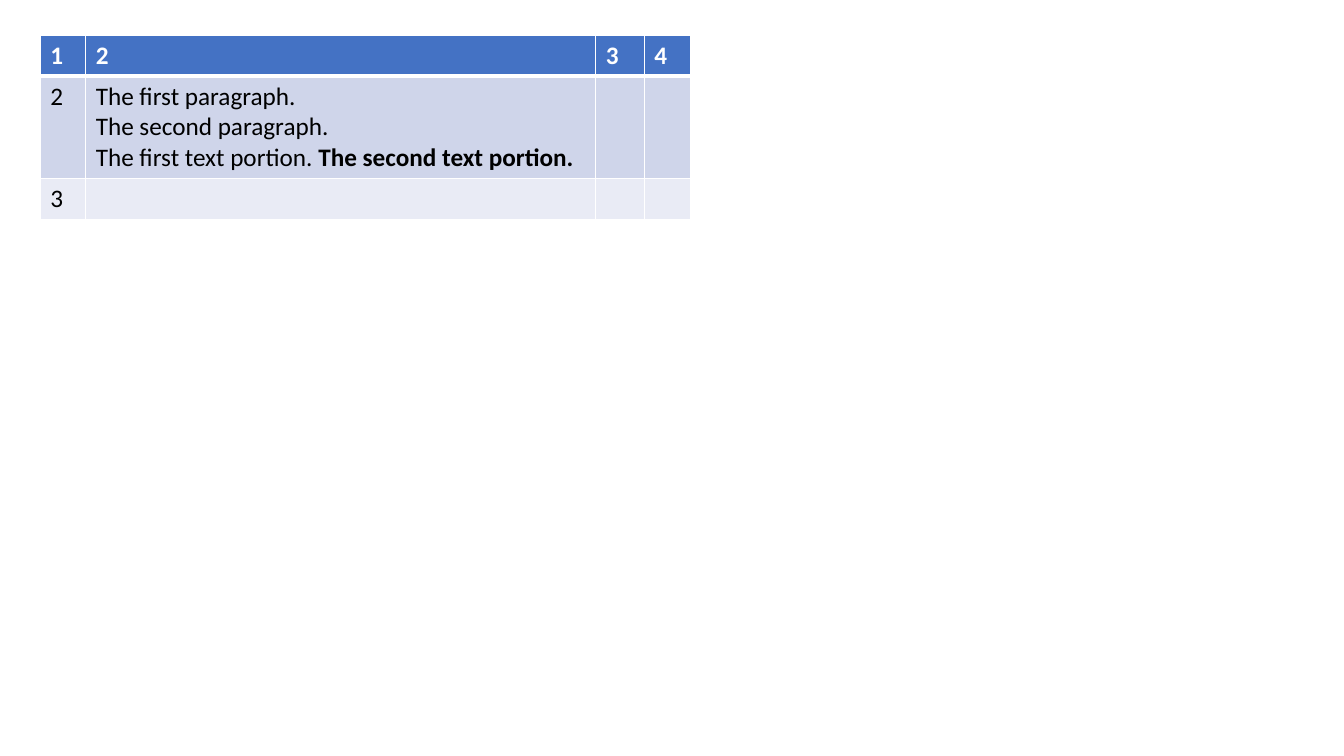
from lxml.etree import SubElement
from pptx import Presentation
from pptx.dml.color import RGBColor
from pptx.oxml.ns import qn
from pptx.util import Inches, Pt

WHITE, BLACK = "FFFFFF", "000000"
ROW_FILLS = ["4472C4", "CFD5EA", "E9EBF5"]
COLUMN_WIDTHS = [0.45, 5.06, 0.48, 0.46]
ROW_HEIGHTS = [0.4, 1.01, 0.4]

# Each cell is a list of paragraphs, each paragraph a list of (text, bold)
HEADER = [[[(label, True)]] for label in "1234"]
PARAGRAPHS = [
    [("The first paragraph.", False)],
    [("The second paragraph.", False)],
    [("The first text portion. ", False), ("The second text portion.", True)],
]
ROWS = [
    HEADER,
    [[[("2", False)]], PARAGRAPHS, [], []],
    [[[("3", False)]], [], [], []],
]


def color(value):
    return RGBColor.from_string(value)


def set_borders(cell, widths):
    """Draw white cell borders; widths are points by side."""
    properties = cell._tc.get_or_add_tcPr()
    for index, (side, width) in enumerate(widths.items()):
        line = properties.makeelement(qn(f"a:ln{side}"), {"w": str(Pt(width))})
        fill = SubElement(line, qn("a:solidFill"))
        SubElement(fill, qn("a:srgbClr"), val=WHITE)
        properties.insert(index, line)


def write_cell(cell, paragraphs, text_color):
    frame = cell.text_frame
    for index, spans in enumerate(paragraphs):
        para = frame.paragraphs[0] if index == 0 else frame.add_paragraph()
        para.font.name = "Calibri"
        para.font.size = Pt(18)
        para.font.color.rgb = color(text_color)
        for text, bold in spans:
            span = para.add_run()
            span.text = text
            span.font.bold = bold


def add_number_table(page, left, top, width, height):
    table = page.shapes.add_table(
        len(ROWS), len(COLUMN_WIDTHS),
        Inches(left), Inches(top), Inches(width), Inches(height)).table
    for column, size in zip(table.columns, COLUMN_WIDTHS):
        column.width = Inches(size)
    for row, size in zip(table.rows, ROW_HEIGHTS):
        row.height = Inches(size)

    # Header has white text and a thick rule below it
    for r, contents in enumerate(ROWS):
        for c, paragraphs in enumerate(contents):
            cell = table.cell(r, c)
            cell.fill.solid()
            cell.fill.fore_color.rgb = color(ROW_FILLS[r])
            set_borders(cell, {"L": 1, "R": 1, "T": 3 if r == 1 else 1,
                               "B": 3 if r == 0 else 1})
            write_cell(cell, paragraphs, WHITE if r == 0 else BLACK)


def main():
    deck = Presentation()
    deck.slide_width, deck.slide_height = Inches(13.33), Inches(7.5)
    page = deck.slides.add_slide(deck.slide_layouts[6])
    add_number_table(page, 0.4, 0.35, sum(COLUMN_WIDTHS), sum(ROW_HEIGHTS))
    deck.save("out.pptx")


if __name__ == "__main__":
    main()
